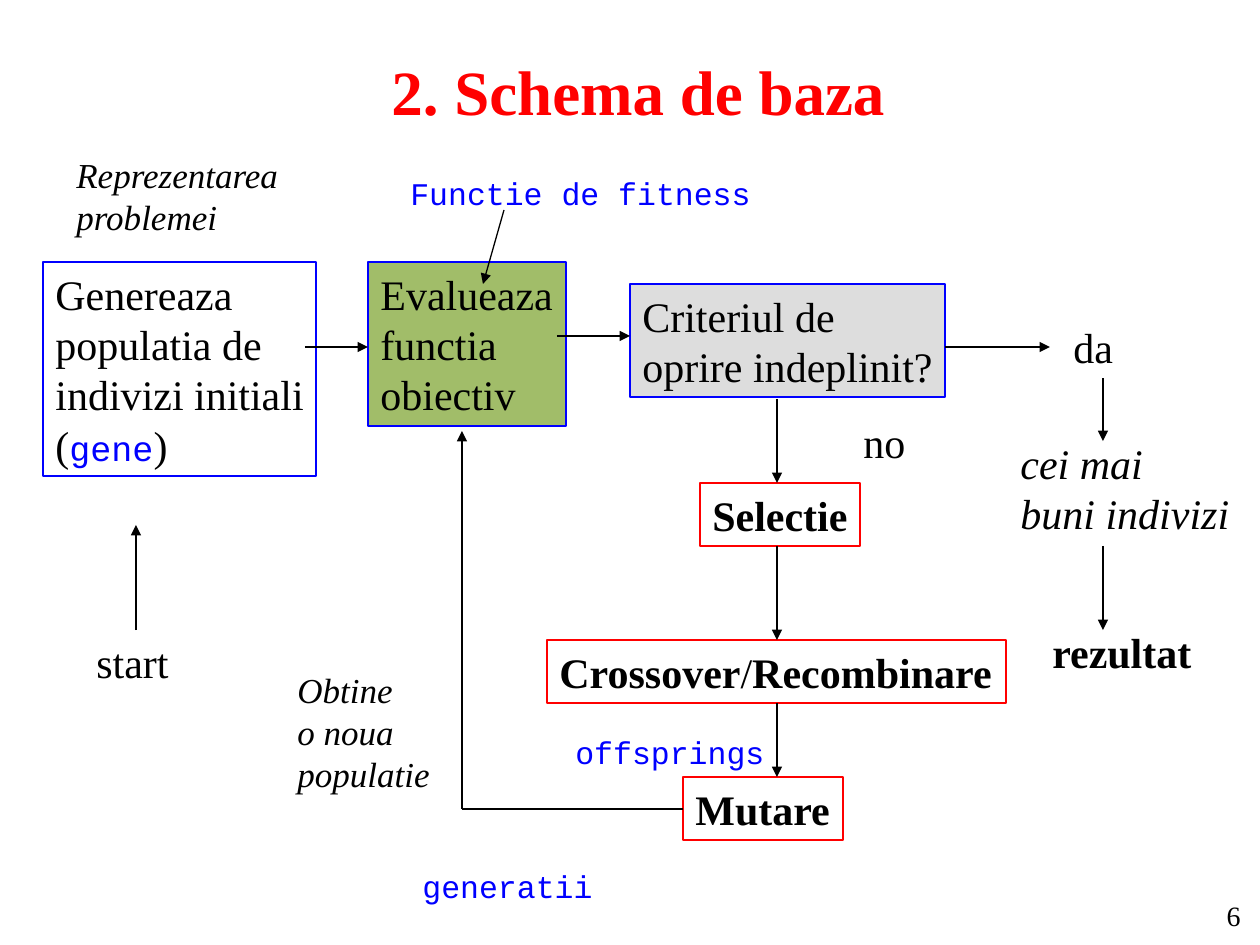
"""Build the slide showing the basic scheme of an evolutionary algorithm."""
import pptx
import pptx.dml.color
import pptx.enum.shapes
import pptx.enum.text
import pptx.oxml
import pptx.oxml.ns
import pptx.util

PX = 914400 / 126
WIDTH, HEIGHT = 1260, 945
THEME = {
    "serif": "Times New Roman", "mono": "Courier New",
    "black": "000000", "blue": "0000FF", "red": "FF0000",
    "green": "A1BD69", "grey": "DDDDDD",
    "line": 0.75,
}
STYLES = {
    "title": {"size": 36, "bold": True, "color": "red"},
    "number": {"size": 16},
    "body": {"size": 24},
    "strong": {"size": 24, "bold": True},
    "result": {"size": 24, "italic": True},
    "note": {"size": 20, "italic": True},
    "gene": {"size": 20, "name": "mono", "color": "blue"},
    "code": {"size": 18, "name": "mono", "color": "blue"},
}

HEADER = [
    ((49, 30, 1178, 121), "title", ["2. Schema de baza"], "CENTER", "MIDDLE"),
    ((1176, 892, 77, 40), "number", ["6"], "RIGHT", "TOP"),
]
BOXES = [
    ((43, 262, 273, 214), "body", ["Genereaza", "populatia de", "indivizi initiali",
     [("(", "body"), ("gene", "gene"), (")", "body")]], None, "blue"),
    ((368, 262, 198, 164), "body", ["Evalueaza", "functia", "obiectiv"], "green", "blue"),
    ((630, 284, 315, 113), "body", ["Criteriul de", "oprire indeplinit?"], "grey", "blue"),
    ((700, 483, 160, 63), "strong", ["Selectie"], None, "red"),
    ((547, 640, 459, 63), "strong",
     [[("Crossover", "strong"), ("/", "body"), ("Recombinare", "strong")]], None, "red"),
    ((683, 777, 160, 63), "strong", ["Mutare"], None, "red"),
]
LABELS = [
    ((84, 630, 97, 63), "body", ["start"]),
    ((64, 147, 229, 97), "note", ["Reprezentarea", "problemei"]),
    ((1061, 315, 64, 63), "body", ["da"]),
    ((1008, 431, 234, 113), "result", ["cei mai", "buni indivizi"]),
    ((1040, 620, 165, 63), "strong", ["rezultat"]),
    ((285, 662, 158, 139), "note", ["Obtine", "o noua", "populatie"]),
    ((851, 410, 67, 63), "body", ["no"]),
    ((398, 168, 365, 50), "code", ["Functie de fitness"]),
    ((410, 861, 195, 50), "code", ["generatii"]),
    ((563, 727, 214, 50), "code", ["offsprings"]),
]
ARROWS = [
    (777, 399, 777, 483), (777, 546, 777, 640), (777, 703, 777, 777),
    (462, 809, 462, 431), (557, 336, 630, 336), (305, 347, 368, 347),
    (136, 630, 136, 525), (945, 347, 1050, 347), (1103, 378, 1103, 441),
    (1103, 546, 1103, 630), (504, 210, 483, 284),
]
RETURN_LINE = (462, 809, 683, 809)


def emu(lengths):
    return [round(length * PX) for length in lengths]


def rgb(name):
    return pptx.dml.color.RGBColor.from_string(THEME[name])


def style_run(run, style):
    formats = {"name": "serif", "color": "black", "bold": False, "italic": False, **STYLES[style]}
    run.font.color.rgb = rgb(formats.pop("color"))
    formats["name"] = THEME[formats["name"]]
    formats["size"] = pptx.util.Pt(formats["size"])
    for attribute, value in formats.items():
        setattr(run.font, attribute, value)


def write(shape, style, lines, align="LEFT", anchor="TOP"):
    frame = shape.text_frame
    settings = {
        "word_wrap": True,
        "auto_size": pptx.enum.text.MSO_AUTO_SIZE.NONE,
        "vertical_anchor": getattr(pptx.enum.text.MSO_ANCHOR, anchor),
    }
    if align == "LEFT":
        settings["margin_right"] = 0
    for attribute, value in settings.items():
        setattr(frame, attribute, value)
    for index, line in enumerate(lines):
        paragraph = frame.add_paragraph() if index else frame.paragraphs[0]
        paragraph.alignment = getattr(pptx.enum.text.PP_ALIGN, align)
        for text, run_style in [(line, style)] if isinstance(line, str) else line:
            run = paragraph.add_run()
            run.text = text
            style_run(run, run_style)


def add_box(slide, place, style, lines, fill, outline):
    shape = slide.shapes.add_shape(pptx.enum.shapes.MSO_SHAPE.RECTANGLE, *emu(place))
    shape.shadow.inherit = False
    if fill:
        shape.fill.solid()
        shape.fill.fore_color.rgb = rgb(fill)
    else:
        shape.fill.background()
    shape.line.color.rgb = rgb(outline)
    shape.line.width = pptx.util.Pt(THEME["line"])
    write(shape, style, lines)


def add_line(slide, ends, arrow=True):
    connector = slide.shapes.add_connector(
        pptx.enum.shapes.MSO_CONNECTOR.STRAIGHT, *emu(ends))
    connector.line.color.rgb = rgb("black")
    connector.line.width = pptx.util.Pt(THEME["line"])
    if arrow:
        head = pptx.oxml.parse_xml(
            f'<a:tailEnd {pptx.oxml.ns.nsdecls("a")} type="triangle"/>')
        connector.line._get_or_add_ln().append(head)
    properties = connector._element.spPr
    properties.append(pptx.oxml.parse_xml(f'<a:effectLst {pptx.oxml.ns.nsdecls("a")}/>'))


def main():
    presentation = pptx.Presentation()
    presentation.slide_width, presentation.slide_height = emu((WIDTH, HEIGHT))
    slide = presentation.slides.add_slide(presentation.slide_layouts[6])
    for place, *content in HEADER + LABELS:
        write(slide.shapes.add_textbox(*emu(place)), *content)
    for box in BOXES:
        add_box(slide, *box)
    for ends in ARROWS:
        add_line(slide, ends)
    add_line(slide, RETURN_LINE, arrow=False)
    presentation.save("out.pptx")


if __name__ == "__main__":
    main()
